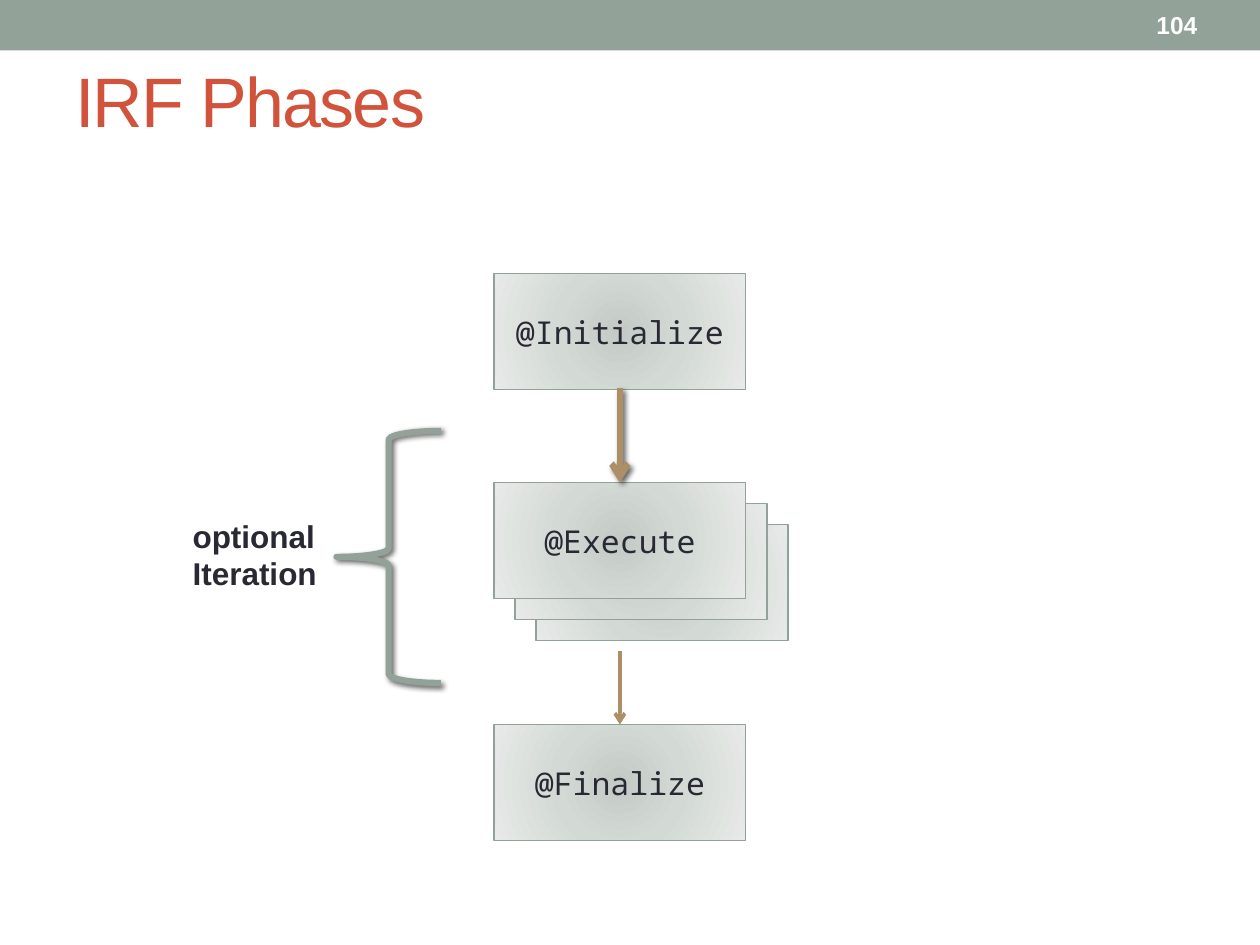
from dataclasses import dataclass
from lxml.etree import SubElement
from pptx import Presentation
from pptx.dml.color import RGBColor
from pptx.enum.shapes import MSO_CONNECTOR as Connector, MSO_SHAPE as Shape
from pptx.enum.text import MSO_ANCHOR as Anchor, PP_ALIGN as Align
from pptx.oxml import parse_xml
from pptx.oxml.ns import nsdecls, qn
from pptx.util import Inches, Pt


@dataclass(frozen=True)
class Theme:
    sage: str = "93A299"
    tan: str = "AD8F67"
    red: str = "D2533C"
    ink: str = "292934"
    white: str = "FFFFFF"
    gradient: tuple = ((0, "C4CAC6"), (45, "D3DAD6"), (100, "E7EAE8"))
    sans: str = "Arial"
    mono: str = "Noto Sans Mono"
    title_size: int = 40
    body_size: int = 18
    number_size: int = 14
    thin: float = 0.75
    medium: float = 2.08
    thick: float = 3.5


THEME = Theme()
TITLE = "IRF Phases"
PAGE_NUMBER = "104"
ITERATION_LABEL = ["optional", "Iteration"]
PHASES = [("@Initialize", 2.17), ("@Execute", 3.83), ("@Finalize", 5.75)]
BOX_LEFT, BOX_WIDTH, BOX_HEIGHT = 3.92, 2, 0.92
EXECUTE_TOP = PHASES[1][1]
STACK_STEP, STACK_DEPTH = 0.167, 2
ARROWS = [(3.08, 3.83, THEME.thick, True), (5.17, 5.75, THEME.medium, False)]


def color(value):
    """Turn a hex string into a colour."""
    return RGBColor.from_string(value)


def add_effects(shape, shadowed):
    """Give a shape or connector a soft shadow, or none."""
    properties = shape._element.spPr
    effects = properties.find(qn("a:effectLst"))
    if effects is None:
        effects = SubElement(properties, qn("a:effectLst"))
    if shadowed:
        effects.append(parse_xml(
            f'<a:outerShdw {nsdecls("a")} blurRad="{Pt(3)}" dist="{Pt(2)}" dir="2700000" '
            'rotWithShape="0"><a:srgbClr val="000000"><a:alpha val="60000"/></a:srgbClr></a:outerShdw>'))


def write(shape, lines, size, ink, font=THEME.sans, bold=False, align=Align.LEFT,
          anchor=Anchor.MIDDLE, wrap=True, spacing=None):
    """Fill a shape with uniformly styled paragraphs."""
    frame = shape.text_frame
    frame.word_wrap = wrap
    frame.vertical_anchor = anchor
    frame.text = "\n".join(lines)
    for paragraph in frame.paragraphs:
        paragraph.alignment = align
        paragraph.font.name = font
        paragraph.font.size = Pt(size)
        paragraph.font.bold = bold
        paragraph.font.color.rgb = color(ink)
        if spacing is not None:
            for run in paragraph.runs:
                run.font._element.set("spc", str(spacing * 100))


def add_text(slide, box, lines, size, ink, **style):
    """Add a text box."""
    write(slide.shapes.add_textbox(*map(Inches, box)), lines, size, ink, **style)


def add_phase(slide, left, top, label=None):
    """Add a phase box with a radial gradient."""
    shape = slide.shapes.add_shape(
        Shape.RECTANGLE, *map(Inches, (left, top, BOX_WIDTH, BOX_HEIGHT)))
    shape.shadow.inherit = False
    shape.line.color.rgb = color(THEME.sage)
    shape.line.width = Pt(THEME.thin)
    stops = "".join(f'<a:gs pos="{position * 1000}"><a:srgbClr val="{value}"/></a:gs>'
                    for position, value in THEME.gradient)
    shape._element.spPr.find(qn("a:prstGeom")).addnext(parse_xml(
        f'<a:gradFill {nsdecls("a")} rotWithShape="1"><a:gsLst>{stops}</a:gsLst><a:path path="circle">'
        '<a:fillToRect l="100000" t="100000" r="100000" b="100000"/></a:path></a:gradFill>'))
    if label:
        write(shape, [label], THEME.body_size, THEME.ink, font=THEME.mono, align=Align.CENTER)


def add_arrow(slide, start, end, width, shadowed):
    """Add a downward arrow on the centre line of the boxes."""
    center = Inches(BOX_LEFT + BOX_WIDTH / 2)
    arrow = slide.shapes.add_connector(
        Connector.STRAIGHT, center, Inches(start), center, Inches(end))
    arrow.line.color.rgb = color(THEME.tan)
    arrow.line.width = Pt(width)
    SubElement(arrow.line._get_or_add_ln(), qn("a:tailEnd"), type="arrow")
    add_effects(arrow, shadowed)


def add_brace(slide):
    """Add the brace that marks the optional iteration."""
    brace = slide.shapes.add_shape(Shape.LEFT_BRACE, *map(Inches, (2.67, 3.42, 0.83, 2)))
    brace.shadow.inherit = False
    brace.fill.background()
    brace.line.color.rgb = color(THEME.sage)
    brace.line.width = Pt(THEME.thick)
    add_effects(brace, True)


def main():
    """Build the slide."""
    presentation = Presentation()
    presentation.slide_width, presentation.slide_height = Inches(10), Inches(7.5)
    slide = presentation.slides.add_slide(presentation.slide_layouts[6])

    bar = slide.shapes.add_shape(Shape.RECTANGLE, 0, 0, Inches(10), Inches(0.4))
    bar.shadow.inherit = False
    bar.fill.solid()
    bar.fill.fore_color.rgb = color(THEME.sage)
    bar.line.fill.background()

    for level in range(STACK_DEPTH, 0, -1):
        offset = level * STACK_STEP
        add_phase(slide, BOX_LEFT + offset, EXECUTE_TOP + offset)
    add_text(slide, (0.5, 0.33, 9, 0.92), [TITLE], THEME.title_size, THEME.red, spacing=-1)
    for label, top in PHASES:
        add_phase(slide, BOX_LEFT, top, label)
    for arrow in ARROWS:
        add_arrow(slide, *arrow)
    add_brace(slide)
    add_text(slide, (1.43, 4.05, 1.25, 0.71), ITERATION_LABEL, THEME.body_size, THEME.ink,
             bold=True, anchor=Anchor.TOP, wrap=False)
    add_text(slide, (9.08, 0.02, 0.58, 0.36), [PAGE_NUMBER], THEME.number_size, THEME.white, bold=True)
    presentation.save("out.pptx")


if __name__ == "__main__":
    main()
